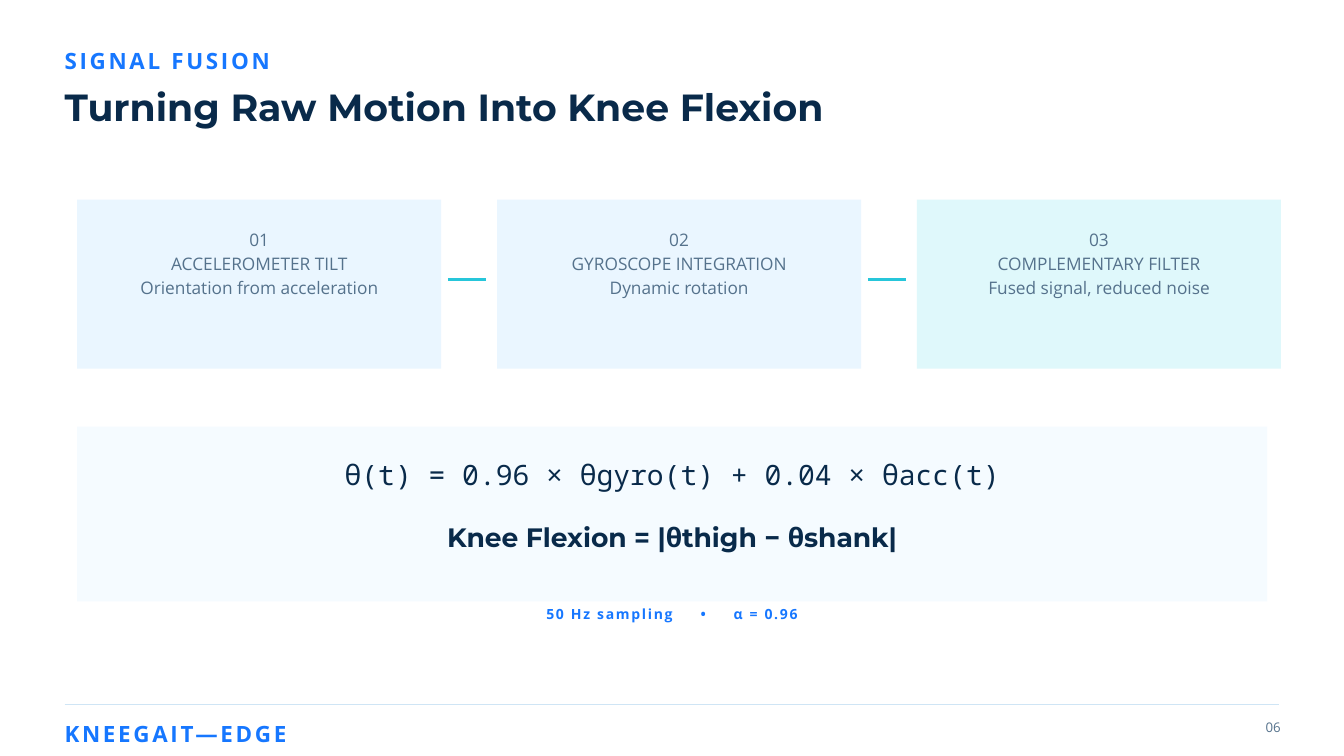
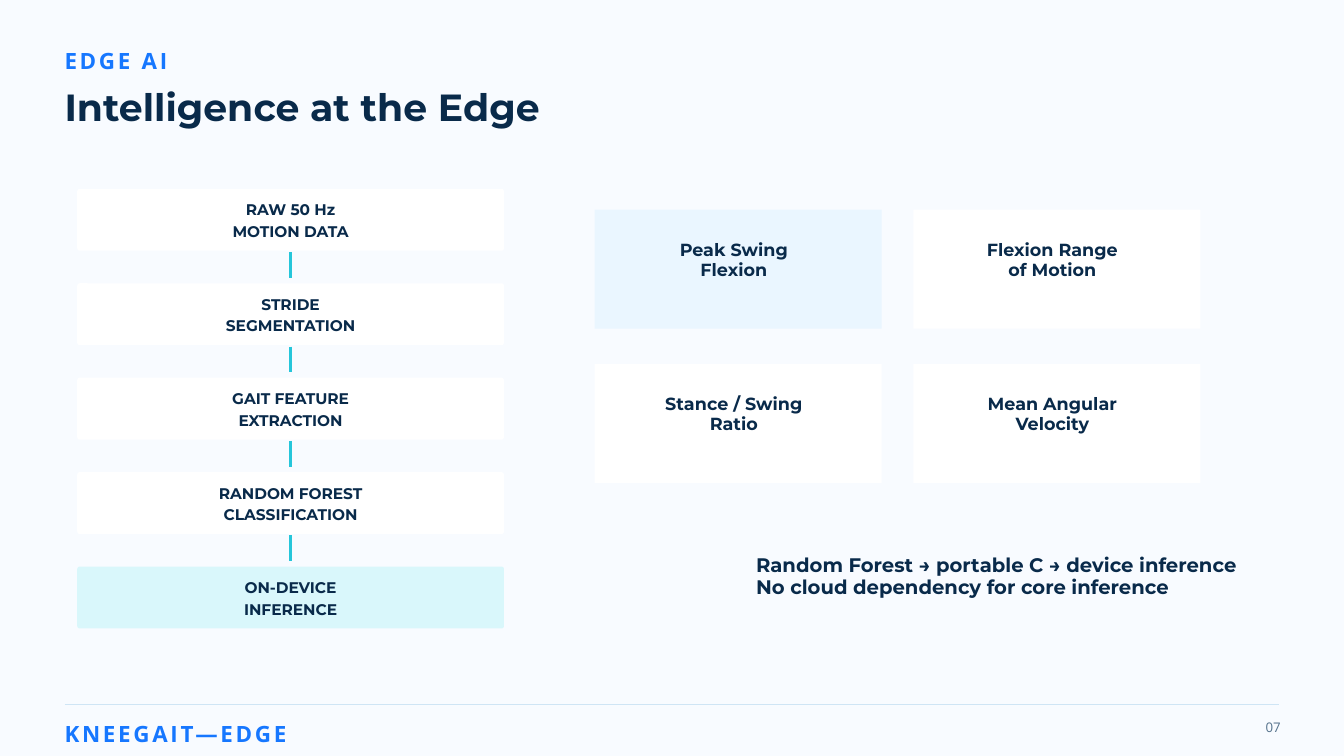
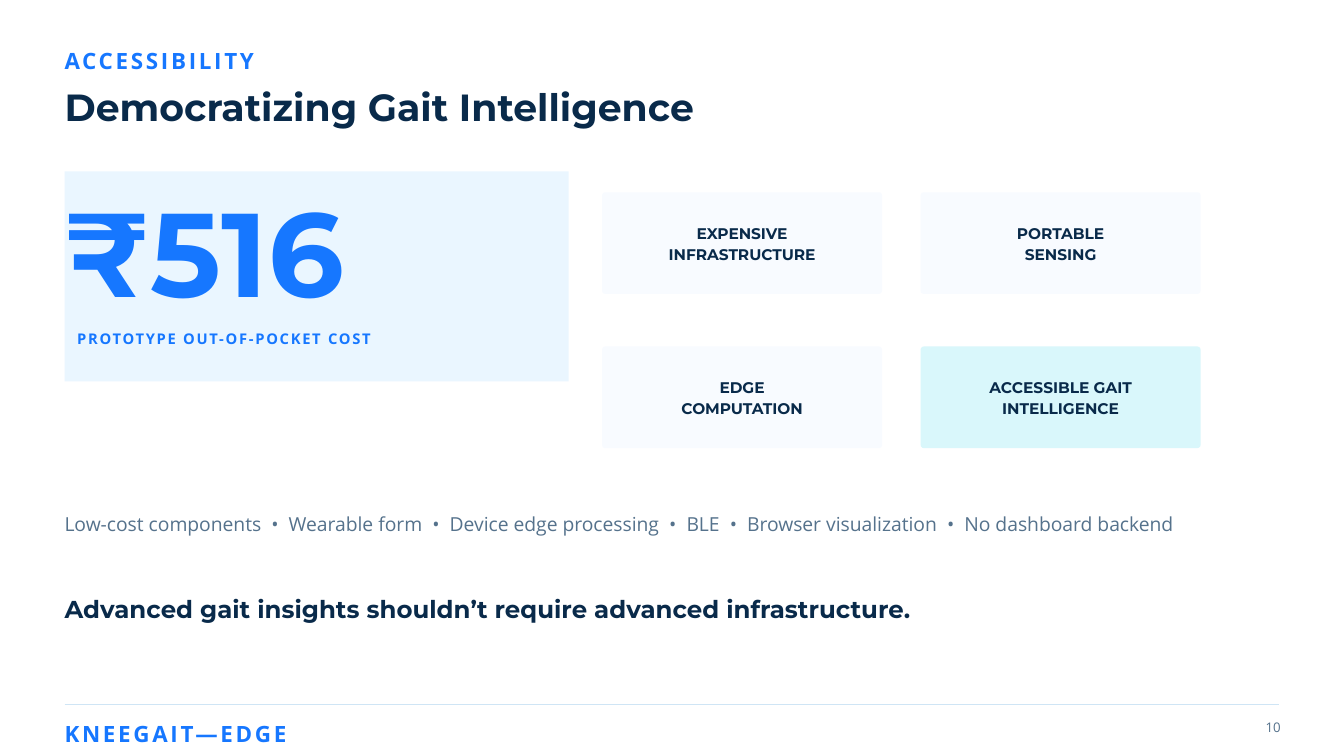
from itertools import product

from lxml.etree import SubElement
from pptx import Presentation
from pptx.dml.color import RGBColor
from pptx.enum.shapes import MSO_CONNECTOR, MSO_SHAPE
from pptx.enum.text import MSO_ANCHOR as ANCHOR, MSO_AUTO_SIZE, PP_ALIGN as ALIGN
from pptx.oxml.ns import qn
from pptx.util import Cm, Pt

rgb = RGBColor.from_string
HEADING, BODY, CODE = "Montserrat", "Open Sans", "Noto Sans Mono"
NAVY, BLUE, SLATE, CYAN = "092A4A", "1677FF", "55728C", "26C6DA"
WHITE, MIST, SKY, ICE = "FFFFFF", "F8FBFF", "EAF6FF", "F5FBFF"
AQUA, MINT, HAIRLINE = "D9F7FB", "DFF8FB", "CFE5F5"
MARGIN, INNER = 2.44, 2.92


def place(slide, left, top, width, height, fill=None, corner=0, pad=(0, 0, 0, 0),
          anchor=ANCHOR.TOP):
    bounds = [Cm(n) for n in (left, top, width, height)]
    if fill:
        kind = MSO_SHAPE.ROUNDED_RECTANGLE if corner else MSO_SHAPE.RECTANGLE
        shape = slide.shapes.add_shape(kind, *bounds)
        if corner:
            shape.adjustments[0] = corner
        shape.shadow.inherit = False
        shape.fill.solid()
        shape.fill.fore_color.rgb = rgb(fill)
        shape.line.fill.background()
    else:
        shape = slide.shapes.add_textbox(*bounds)
    frame = shape.text_frame
    frame.word_wrap = True
    frame.vertical_anchor = anchor
    frame.margin_left, frame.margin_top, frame.margin_right, frame.margin_bottom = [
        Cm(n) for n in pad]
    return frame


def write(frame, lines, font, size, color, leading, bold=False, align=ALIGN.LEFT,
          spacing=0, gap=0, before=0):
    for line in lines:
        paragraph = frame.add_paragraph() if frame.text else frame.paragraphs[0]
        paragraph.alignment = align
        paragraph.line_spacing = Pt(leading)
        if before:
            paragraph.space_before = Pt(before)
        for text in [line] if isinstance(line, str) else line:
            run = paragraph.add_run()
            run.text = text
            run.font.name = font
            run.font.size = Pt(size)
            run.font.bold = bold
            run.font.color.rgb = rgb(color)
            tracking = gap if text == " " else spacing
            if tracking:
                run._r.get_or_add_rPr().set("spc", str(round(tracking * 100)))


deck = Presentation()
deck.slide_width, deck.slide_height = Cm(50.8), Cm(28.58)
rules = []

for topic, headline, page, backdrop in [
    ("SIGNAL FUSION", "Turning Raw Motion Into Knee Flexion", "06", WHITE),
    ("EDGE AI", "Intelligence at the Edge", "07", MIST),
    ("ACCESSIBILITY", "Democratizing Gait Intelligence", "10", WHITE),
]:
    slide = deck.slides.add_slide(deck.slide_layouts[5])
    slide.background.fill.solid()
    slide.background.fill.fore_color.rgb = rgb(backdrop)

    title = slide.shapes.title
    title.left, title.top, title.width, title.height = Cm(MARGIN), Cm(3.33), Cm(34.4), Cm(1.55)
    heading = title.text_frame
    heading.auto_size = MSO_AUTO_SIZE.NONE
    heading.vertical_anchor = ANCHOR.TOP
    heading.margin_left = heading.margin_top = heading.margin_right = heading.margin_bottom = 0
    write(heading, [headline], HEADING, 40.5, NAVY, 43.7, bold=True)

    for label, top in [(topic, 1.63), ("KNEEGAIT—EDGE", 27.06)]:
        write(place(slide, MARGIN, top, 10.6, 1.09), [label], BODY, 24, BLUE, 33.6,
              bold=True, spacing=2.9)
    write(place(slide, 46.02, 27.13, 2.39, 0.64), [page], BODY, 14.2, SLATE, 19.2,
          align=ALIGN.RIGHT)
    rules.append((slide, MARGIN, 26.64, 48.36, 26.64, HAIRLINE, 0.75))

fusion, edge, access = deck.slides

for step, (method, result, fill) in enumerate([
    ("ACCELEROMETER TILT", "Orientation from acceleration", SKY),
    ("GYROSCOPE INTEGRATION", "Dynamic rotation", SKY),
    ("COMPLEMENTARY FILTER", "Fused signal, reduced noise", MINT),
]):
    left = INNER + step * 15.87
    stage = place(fusion, left, 7.55, 13.76, 6.39, fill, pad=(0.66, 0.99, 0.66, 0))
    write(stage, [f"0{step + 1}", method, result], BODY, 18.5, SLATE, 25.9, align=ALIGN.CENTER)
    if step:
        rules.append((fusion, left - 1.86, 10.58, left - 0.41, 10.58, CYAN, 3))

formulas = place(fusion, INNER, 16.13, 44.98, 6.61, ICE, pad=(1.32, 0.99, 1.32, 0))
write(formulas, ["θ(t) = 0.96 × θgyro(t) + 0.04 × θacc(t)"], CODE, 30, NAVY, 40.5,
      align=ALIGN.CENTER)
write(formulas, ["Knee Flexion = |θthigh − θshank|"], HEADING, 28.5, NAVY, 32.8,
      bold=True, align=ALIGN.CENTER, before=34)
write(place(fusion, 15.34, 22.78, 20.12, 0.71),
      [["50 Hz sampling", " ", "•", " ", "α = 0.96"]], BODY, 15, BLUE, 21,
      bold=True, align=ALIGN.CENTER, spacing=1.8, gap=24)

pipeline = [
    ("RAW 50 Hz", "MOTION DATA"),
    ("STRIDE", "SEGMENTATION"),
    ("GAIT FEATURE", "EXTRACTION"),
    ("RANDOM FOREST", "CLASSIFICATION"),
    ("ON-DEVICE", "INFERENCE"),
]
for step, lines in enumerate(pipeline):
    top = 7.14 + step * 3.57
    last = step == len(pipeline) - 1
    stage = place(edge, INNER, top, 16.13, 2.34, AQUA if last else WHITE, 0.04,
                  (0.15, 0.08, 0.15, 0.15), ANCHOR.MIDDLE)
    write(stage, lines, HEADING, 16.5, NAVY, 23.1, bold=True, align=ALIGN.CENTER)
    if not last:
        rules.append((edge, 10.98, top + 2.39, 10.98, top + 3.37, CYAN, 3))

features = [
    ("Peak Swing", "Flexion", SKY),
    ("Flexion Range", "of Motion", WHITE),
    ("Stance / Swing", "Ratio", WHITE),
    ("Mean Angular", "Velocity", WHITE),
]
benefits = [
    ("EXPENSIVE", "INFRASTRUCTURE", MIST),
    ("PORTABLE", "SENSING", MIST),
    ("EDGE", "COMPUTATION", MIST),
    ("ACCESSIBLE GAIT", "INTELLIGENCE", AQUA),
]

write(place(edge, 28.58, 20.93, 18.52, 1.7),
      ["Random Forest → portable C → device inference",
       "No cloud dependency for core inference"], HEADING, 21, NAVY, 24.1, bold=True)

price = place(access, MARGIN, 6.48, 19.05, 7.94, SKY, pad=(0, 0.94, 0, 0))
write(price, ["₹516"], HEADING, 127.5, BLUE, 133.9, bold=True)
write(place(access, INNER, 12.36, 18.52, 0.74), ["PROTOTYPE OUT-OF-POCKET COST"],
      BODY, 15.75, BLUE, 22, bold=True, spacing=1.9)

for (row, column), feature, benefit in zip(product(range(2), range(2)), features, benefits):
    across, down = column * 12.04, row * 5.83
    *lines, fill = feature
    card = place(edge, 22.48 + across, 7.93 + down, 10.85, 4.5, fill,
                 pad=(0.76, 1.13, 1.09, 0))
    write(card, lines, HEADING, 18.8, NAVY, 21.6, bold=True, align=ALIGN.CENTER)
    *lines, fill = benefit
    card = place(access, 22.76 + across, 7.27 + down, 10.58, 3.84, fill, 0.03,
                 (0.15, 0.08, 0.15, 0.15), ANCHOR.MIDDLE)
    write(card, lines, HEADING, 16.5, NAVY, 23.1, bold=True, align=ALIGN.CENTER)

traits = ["Low-cost components"]
for trait in ["Wearable form", "Device edge processing", "BLE", "Browser visualization",
              "No dashboard backend"]:
    traits += [" ", "•", " ", trait]
write(place(access, MARGIN, 19.2, 45, 0.97), [traits], BODY, 20.7, SLATE, 29, gap=5.4)
write(place(access, MARGIN, 22.5, 39.7, 1.07),
      ["Advanced gait insights shouldn’t require advanced infrastructure."],
      HEADING, 26.25, NAVY, 30.2, bold=True)

for slide, x1, y1, x2, y2, color, weight in rules:
    rule = slide.shapes.add_connector(MSO_CONNECTOR.STRAIGHT, Cm(x1), Cm(y1), Cm(x2), Cm(y2))
    rule.line.color.rgb = rgb(color)
    rule.line.width = Pt(weight)
    SubElement(rule._element.spPr, qn("a:effectLst"))

deck.save("out.pptx")
